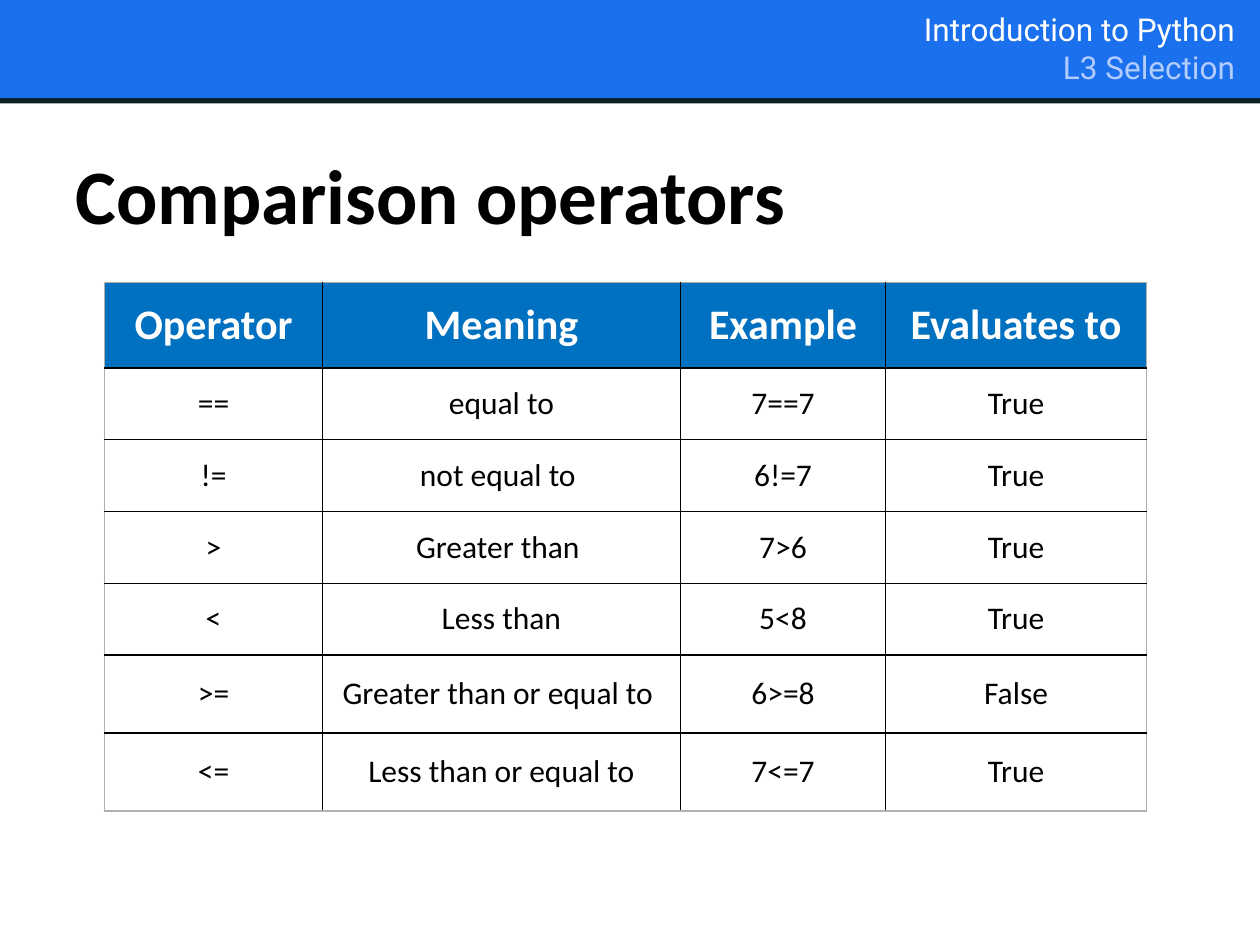
"""Build a lesson slide with a table of Python comparison operators."""
from lxml.etree import SubElement
from pptx import Presentation
from pptx.dml.color import RGBColor
from pptx.enum.shapes import MSO_SHAPE
from pptx.enum.text import MSO_ANCHOR, PP_ALIGN
from pptx.oxml.ns import qn
from pptx.util import Inches, Pt

BLACK = RGBColor(0x00, 0x00, 0x00)
WHITE = RGBColor(0xFF, 0xFF, 0xFF)
GREY = RGBColor(0xB0, 0xB0, 0xB0)
NAVY = RGBColor(0x0C, 0x20, 0x26)
BANNER_BLUE = RGBColor(0x1B, 0x70, 0xED)
PALE_BLUE = RGBColor(0xB3, 0xCC, 0xFF)
HEADER_BLUE = RGBColor(0x00, 0x70, 0xC0)

COLUMN_WIDTHS = (1.73, 2.84, 1.63, 2.07)
ROW_HEIGHTS = (0.68, 0.57, 0.57, 0.57, 0.57, 0.62, 0.62)
OPERATORS = (
    ("Operator", "Meaning", "Example", "Evaluates to"),
    ("==", "equal to", "7==7", "True"),
    ("!=", "not equal to ", "6!=7", "True"),
    (">", "Greater than ", "7>6", "True"),
    ("<", "Less than", "5<8", "True"),
    (">=", "Greater than or equal to ", "6>=8", "False"),
    ("<=", "Less than or equal to", "7<=7", "True"),
)


class LessonSlide:
    body_font = "Calibri"
    banner_font = "Roboto"

    def __init__(self, presentation):
        self.slide = presentation.slides.add_slide(presentation.slide_layouts[6])

    def add_run(self, paragraph, text, size, color, font=body_font, bold=False):
        run = paragraph.add_run()
        run.text = text
        run.font.name = font
        run.font.size = Pt(size)
        run.font.bold = bold
        run.font.color.rgb = color

    def add_band(self, left, top, width, height, color):
        shape = self.slide.shapes.add_shape(
            MSO_SHAPE.RECTANGLE, Inches(left), Inches(top), Inches(width), Inches(height))
        shape.shadow.inherit = False
        shape.fill.solid()
        shape.fill.fore_color.rgb = color
        shape.line.fill.background()

    def add_text_box(self, left, top, width, height, alignment, anchor):
        text_frame = self.slide.shapes.add_textbox(
            Inches(left), Inches(top), Inches(width), Inches(height)).text_frame
        text_frame.word_wrap = True
        text_frame.vertical_anchor = anchor
        paragraph = text_frame.paragraphs[0]
        paragraph.alignment = alignment
        return paragraph

    def add_banner_text(self, course, lesson):
        paragraph = self.add_text_box(4.99, 0.03, 4.91, 0.69, PP_ALIGN.RIGHT, MSO_ANCHOR.TOP)
        self.add_run(paragraph, course, 18, WHITE, self.banner_font)
        paragraph.add_line_break()
        self.add_run(paragraph, lesson, 18, PALE_BLUE, self.banner_font)

    def add_title(self, text):
        paragraph = self.add_text_box(0.5, 1.05, 9, 0.97, PP_ALIGN.LEFT, MSO_ANCHOR.MIDDLE)
        self.add_run(paragraph, text, 44, BLACK, bold=True)

    def set_borders(self, cell, outer_sides):
        properties = cell._tc.get_or_add_tcPr()
        for position, (tag, outer) in enumerate(zip(("lnL", "lnR", "lnT", "lnB"), outer_sides)):
            line = SubElement(properties, qn(f"a:{tag}"), w=str(Pt(1)))
            fill = SubElement(line, qn("a:solidFill"))
            SubElement(fill, qn("a:srgbClr"), val=str(GREY if outer else BLACK))
            properties.insert(position, line)

    def add_table(self, left, top, rows, widths, heights):
        table = self.slide.shapes.add_table(
            len(rows), len(widths), Inches(left), Inches(top),
            Inches(sum(widths)), Inches(sum(heights))).table
        table.horz_banding = False
        for column, width in zip(table.columns, widths):
            column.width = Inches(width)
        for row, height in zip(table.rows, heights):
            row.height = Inches(height)
        last_row, last_column = len(rows) - 1, len(widths) - 1
        for row_index, texts in enumerate(rows):
            header = row_index == 0
            for column_index, text in enumerate(texts):
                cell = table.cell(row_index, column_index)
                cell.vertical_anchor = MSO_ANCHOR.MIDDLE
                if header:
                    cell.fill.solid()
                    cell.fill.fore_color.rgb = HEADER_BLUE
                else:
                    cell.fill.background()
                paragraph = cell.text_frame.paragraphs[0]
                paragraph.alignment = PP_ALIGN.CENTER
                self.add_run(paragraph, text, 24 if header else 18,
                             WHITE if header else BLACK, bold=header)
                self.set_borders(cell, (column_index == 0, column_index == last_column,
                                        header, row_index == last_row))


def main():
    presentation = Presentation()
    presentation.slide_width = Inches(10)
    presentation.slide_height = Inches(7.5)
    lesson = LessonSlide(presentation)
    lesson.add_band(-0.08, 0.7, 10.1, 0.12, NAVY)
    lesson.add_band(-0.07, 0, 10.1, 0.78, BANNER_BLUE)
    lesson.add_banner_text("Introduction to Python", "L3 Selection")
    lesson.add_title("Comparison operators")
    lesson.add_table(0.83, 2.24, OPERATORS, COLUMN_WIDTHS, ROW_HEIGHTS)
    presentation.save("out.pptx")


if __name__ == "__main__":
    main()
